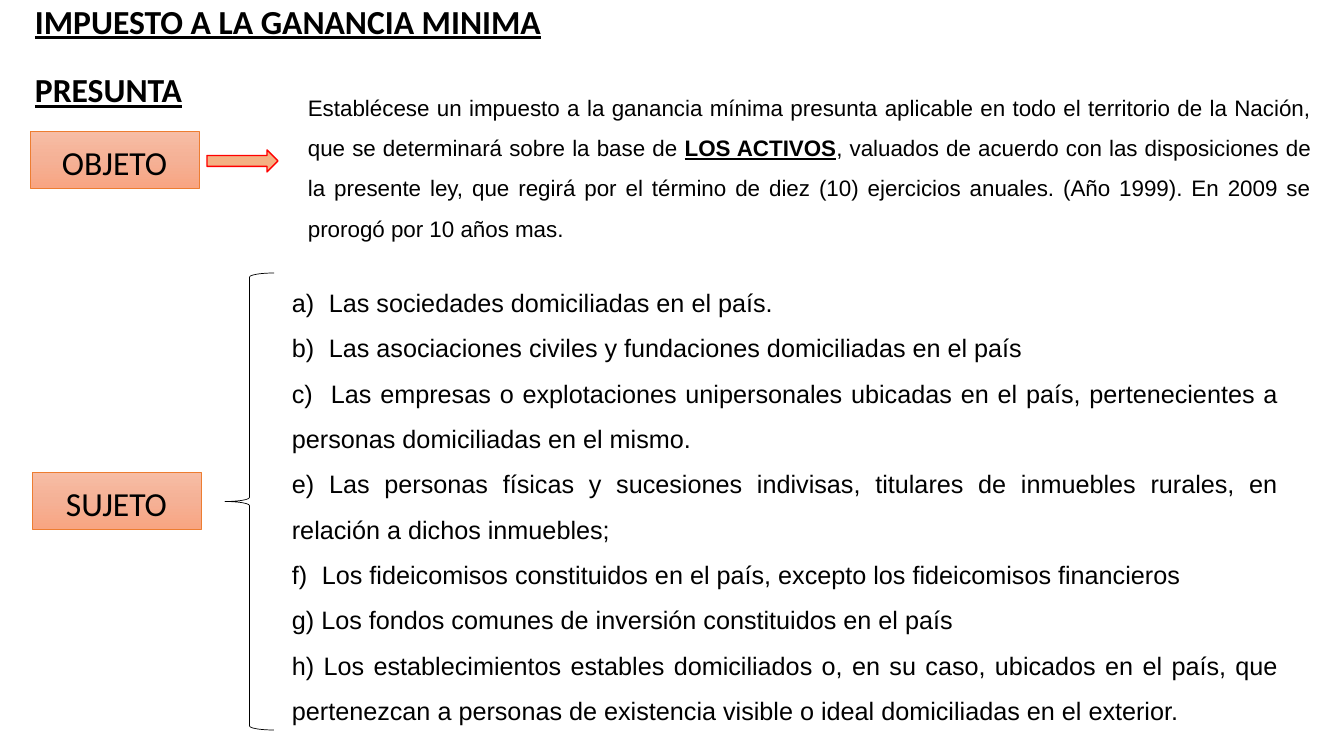
from copy import deepcopy

from pptx import Presentation
from pptx import util as u
from pptx.dml.color import RGBColor
from pptx.enum import shapes, text
from pptx.oxml import parse_xml
from pptx.oxml.ns import nsdecls, qn

PX = 914400 / 100.8
BLACK = RGBColor(0, 0, 0)
ORANGE = RGBColor(0xED, 0x7D, 0x31)
PEACH = RGBColor(0xF4, 0xB1, 0x83)
RED = RGBColor(0xFF, 0, 0)
GRADIENT = [
    RGBColor(0xF7, 0xBD, 0xA5),
    RGBColor(0xF5, 0xB1, 0x96),
    RGBColor(0xF8, 0xA5, 0x82),
]

presentation = Presentation()
presentation.slide_width = u.Emu(round(1344 * PX))
presentation.slide_height = u.Emu(round(756 * PX))
slide = presentation.slides.add_slide(presentation.slide_layouts[6])


def add_item(kind, left, top, width, height):
    box = [u.Emu(round(n * PX)) for n in (left, top, width, height)]
    if kind is None:
        shape = slide.shapes.add_textbox(*box)
    else:
        shape = slide.shapes.add_shape(kind, *box)
        shape.shadow.inherit = False
    shape.text_frame.word_wrap = True
    return shape


def style(paragraph, font_name, size, spacing, alignment):
    paragraph.alignment = alignment
    paragraph.line_spacing = spacing
    for run in paragraph.runs:
        run.font.name = font_name
        run.font.size = u.Pt(size)
        run.font.color.rgb = BLACK


title = add_item(None, 25, 0, 677, 82)
title.text_frame.text = "IMPUESTO A LA GANANCIA MINIMA PRESUNTA"
title.text_frame.vertical_anchor = text.MSO_ANCHOR.MIDDLE
paragraph = title.text_frame.paragraphs[0]
style(paragraph, "Calibri", 24, 1.7, text.PP_ALIGN.LEFT)
paragraph.runs[0].font.bold = True
paragraph.runs[0].font.underline = True

for label, left, top in [("OBJETO", 30, 131), ("SUJETO", 32, 472)]:
    shape = add_item(shapes.MSO_SHAPE.RECTANGLE, left, top, 169, 57)
    shape.fill.gradient()
    shape.fill.gradient_angle = 270
    stop_list = shape._element.spPr.find(qn("a:gradFill")).find(qn("a:gsLst"))
    stop_list.insert(1, deepcopy(stop_list[0]))
    for stop, color, position in zip(shape.fill.gradient_stops, GRADIENT, (0, 0.5, 1)):
        stop.color.rgb = color
        stop.position = position
    shape.line.color.rgb = ORANGE
    shape.line.width = u.Pt(0.5)
    shape.text_frame.text = label
    shape.text_frame.vertical_anchor = text.MSO_ANCHOR.BOTTOM
    style(shape.text_frame.paragraphs[0], "Calibri", 24, 0.9, text.PP_ALIGN.CENTER)

arrow = add_item(shapes.MSO_SHAPE.RIGHT_ARROW, 207, 150, 71, 22)
arrow.fill.solid()
arrow.fill.fore_color.rgb = PEACH
arrow.line.color.rgb = RED
arrow.line.width = u.Pt(1)

purpose = add_item(None, 298, 77, 1023, 168)
purpose.text_frame.vertical_anchor = text.MSO_ANCHOR.MIDDLE
paragraph = purpose.text_frame.paragraphs[0]
for words, strong in [
    ("Establécese un impuesto a la ganancia mínima presunta aplicable en todo el "
     "territorio de la Nación, que se determinará sobre la base de ", False),
    ("LOS ACTIVOS", True),
    (", valuados de acuerdo con las disposiciones de la presente ley, que regirá por el "
     "término de diez (10) ejercicios anuales. (Año 1999). En 2009 se prorogó por 10 "
     "años mas.", False),
]:
    run = paragraph.add_run()
    run.text = words
    run.font.bold = strong
    run.font.underline = strong
style(paragraph, "Arial", 16, 1.5, text.PP_ALIGN.JUSTIFY)

SUBJECTS = [
    ("a)\tLas sociedades domiciliadas en el país.", 37),
    ("b)\tLas asociaciones civiles y fundaciones domiciliadas en el país", 37),
    ("c)\tLas empresas o explotaciones unipersonales ubicadas en el país, "
     "pertenecientes a personas domiciliadas en el mismo.", 39),
    ("e) Las personas físicas y sucesiones indivisas, titulares de inmuebles rurales, "
     "en relación a dichos inmuebles;", None),
    ("f)\tLos fideicomisos constituidos en el país, excepto los fideicomisos "
     "financieros", 30),
    ("g) Los fondos comunes de inversión constituidos en el país", None),
    ("h) Los establecimientos estables domiciliados o, en su caso, ubicados en el país, "
     "que pertenezcan a personas de existencia visible o ideal domiciliadas en el "
     "exterior.", None),
]
subjects = add_item(None, 282, 267, 1006, 468)
subjects.text_frame.text = "\n".join(words for words, tab in SUBJECTS)
for paragraph, (words, tab) in zip(subjects.text_frame.paragraphs, SUBJECTS):
    if tab:
        paragraph._p.get_or_add_pPr().append(parse_xml(
            f'<a:tabLst {nsdecls("a")}><a:tab pos="{round(tab * PX)}" algn="l"/></a:tabLst>'
        ))
    style(paragraph, "Arial", 18, 1.5, text.PP_ALIGN.JUSTIFY)

brace = add_item(shapes.MSO_SHAPE.RIGHT_BRACE, 225, 273, 49, 457)
brace.rotation = 180
brace.fill.background()
brace.line.color.rgb = BLACK
brace.line.width = u.Pt(0.5)

presentation.save("out.pptx")
